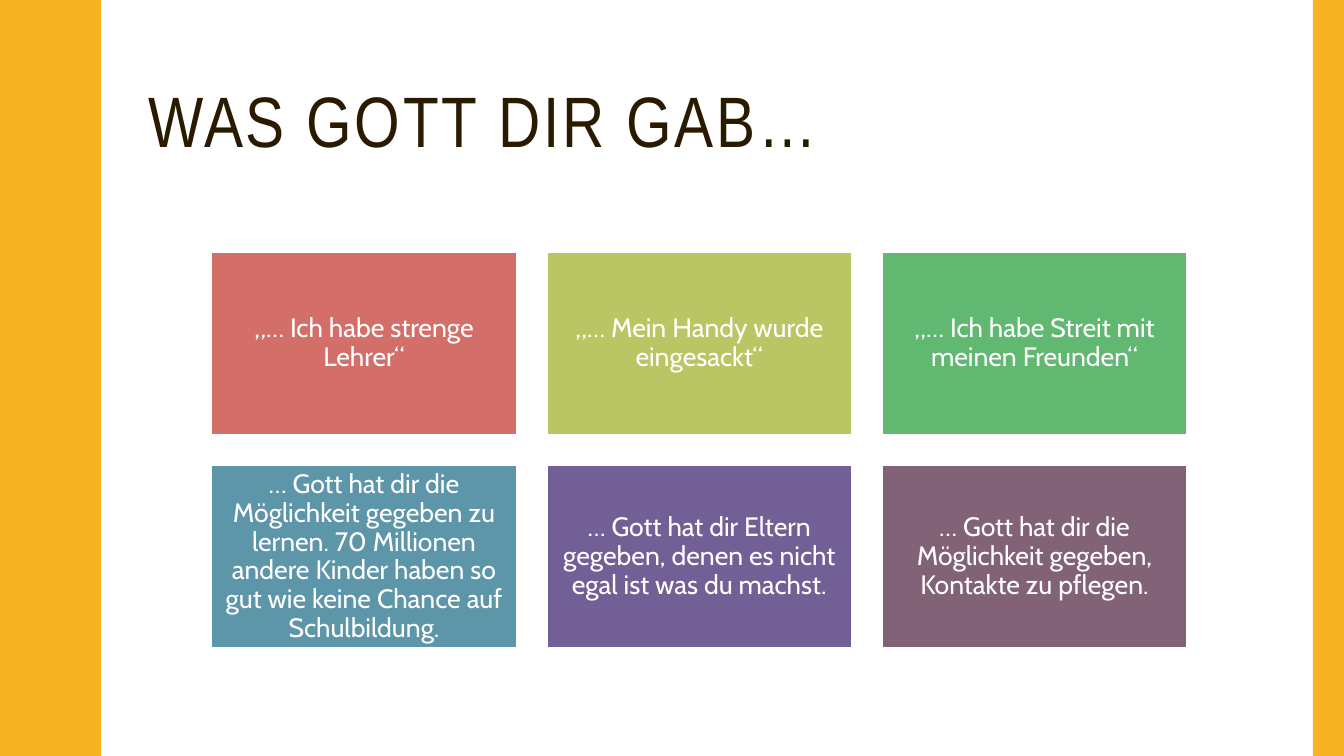
from pptx import Presentation
from pptx.dml.color import RGBColor
from pptx.enum.shapes import MSO_SHAPE
from pptx.enum.text import MSO_ANCHOR, MSO_AUTO_SIZE, PP_ALIGN
from pptx.util import Inches, Pt

RECTANGLE = MSO_SHAPE.RECTANGLE
MIDDLE = MSO_ANCHOR.MIDDLE
NO_AUTOFIT = MSO_AUTO_SIZE.NONE
LEFT, CENTER = PP_ALIGN.LEFT, PP_ALIGN.CENTER

WHITE = RGBColor(0xFF, 0xFF, 0xFF)
DARK_BROWN = RGBColor(0x2A, 0x1A, 0x00)
AMBER = RGBColor(0xF8, 0xB3, 0x23)
RED = RGBColor(0xD3, 0x6F, 0x68)
LIME = RGBColor(0xBA, 0xC6, 0x63)
GREEN = RGBColor(0x60, 0xB8, 0x71)
TEAL = RGBColor(0x5E, 0x96, 0xA9)
VIOLET = RGBColor(0x71, 0x5F, 0x96)
MAUVE = RGBColor(0x82, 0x62, 0x76)

SLIDE_WIDTH, SLIDE_HEIGHT = 13.33, 7.5
WAVE_COUNT, WAVE_PERIOD = 5, 1.5
# Rising half of one wave; the falling half mirrors it.
WAVE_RISE = [
    (0.78, 0), (0.78, 0.07), (0.79, 0.14), (0.8, 0.2), (0.81, 0.25),
    (0.83, 0.29), (0.85, 0.33), (0.87, 0.38), (0.89, 0.42), (0.91, 0.46),
    (0.93, 0.5), (0.95, 0.55), (0.96, 0.61), (0.97, 0.68), (0.97, 0.75),
]

COLUMNS = 3
GRID_LEFT, GRID_TOP = 2.1, 2.5
TILE_WIDTH, TILE_HEIGHT = 3.02, 1.81
COLUMN_STEP, ROW_STEP = 3.325, 2.12
TILE_INSET = 0.08
TILES = [
    ("„… Ich habe strenge Lehrer“", RED),
    ("„… Mein Handy wurde eingesackt“", LIME),
    ("„… Ich habe Streit mit meinen Freunden“", GREEN),
    ("… Gott hat dir die Möglichkeit gegeben zu lernen. 70 Millionen "
     "andere Kinder haben so gut wie keine Chance auf Schulbildung.", TEAL),
    ("… Gott hat dir Eltern gegeben, denen es nicht egal ist was du machst.",
     VIOLET),
    ("… Gott hat dir die Möglichkeit gegeben, Kontakte zu pflegen.", MAUVE),
]


def write_paragraph(frame, text, font_name, size, color, alignment):
    frame.word_wrap = True
    frame.auto_size = NO_AUTOFIT
    frame.vertical_anchor = MIDDLE
    paragraph = frame.paragraphs[0]
    paragraph.alignment = alignment
    paragraph.line_spacing = 0.9
    run = paragraph.add_run()
    run.text = text
    run.font.name = font_name
    run.font.size = Pt(size)
    run.font.color.rgb = color
    return run


def paint(shape, color):
    """Give the shape a flat fill without outline or shadow."""
    shape.shadow.inherit = False
    shape.fill.solid()
    shape.fill.fore_color.rgb = color
    shape.line.fill.background()


def add_rectangle(slide, left, top, width, height, color):
    rectangle = slide.shapes.add_shape(
        RECTANGLE, Inches(left), Inches(top), Inches(width), Inches(height))
    paint(rectangle, color)
    return rectangle


def add_title(slide, text):
    title = slide.shapes.title
    title.left, title.top = Inches(1.37), Inches(0.42)
    title.width, title.height = Inches(11.13), Inches(1.63)
    run = write_paragraph(title.text_frame, text, "Arial Narrow", 51,
                          DARK_BROWN, LEFT)
    run.font._element.set("spc", "200")


def add_wavy_edge(slide):
    fall = [(x, WAVE_PERIOD - y) for x, y in reversed(WAVE_RISE[:-1])]
    wave = WAVE_RISE + fall
    outline = [(x, y + WAVE_PERIOD * index)
               for index in range(WAVE_COUNT) for x, y in wave]
    outline.append((0, SLIDE_HEIGHT))
    builder = slide.shapes.build_freeform(0, 0, scale=Inches(1))
    builder.add_line_segments(outline, close=True)
    paint(builder.convert_to_shape(), AMBER)


def add_tile(slide, index, text, color):
    row, column = divmod(index, COLUMNS)
    tile = add_rectangle(slide, GRID_LEFT + column * COLUMN_STEP,
                         GRID_TOP + row * ROW_STEP,
                         TILE_WIDTH, TILE_HEIGHT, color)
    tile.line.color.rgb = WHITE
    tile.line.width = Pt(1)
    frame = tile.text_frame
    frame.margin_left = frame.margin_right = Inches(TILE_INSET)
    frame.margin_top = frame.margin_bottom = Inches(TILE_INSET)
    write_paragraph(frame, text, "Cabin", 19, WHITE, CENTER)


def main():
    presentation = Presentation()
    presentation.slide_width = Inches(SLIDE_WIDTH)
    presentation.slide_height = Inches(SLIDE_HEIGHT)
    slide = presentation.slides.add_slide(presentation.slide_layouts[5])
    slide.background.fill.solid()
    slide.background.fill.fore_color.rgb = WHITE

    add_title(slide, "WAS GOTT DIR GAB…")
    add_wavy_edge(slide)
    add_rectangle(slide, 13.02, 0, 0.31, SLIDE_HEIGHT, AMBER)
    for index, (text, color) in enumerate(TILES):
        add_tile(slide, index, text, color)

    presentation.save("out.pptx")


if __name__ == "__main__":
    main()
